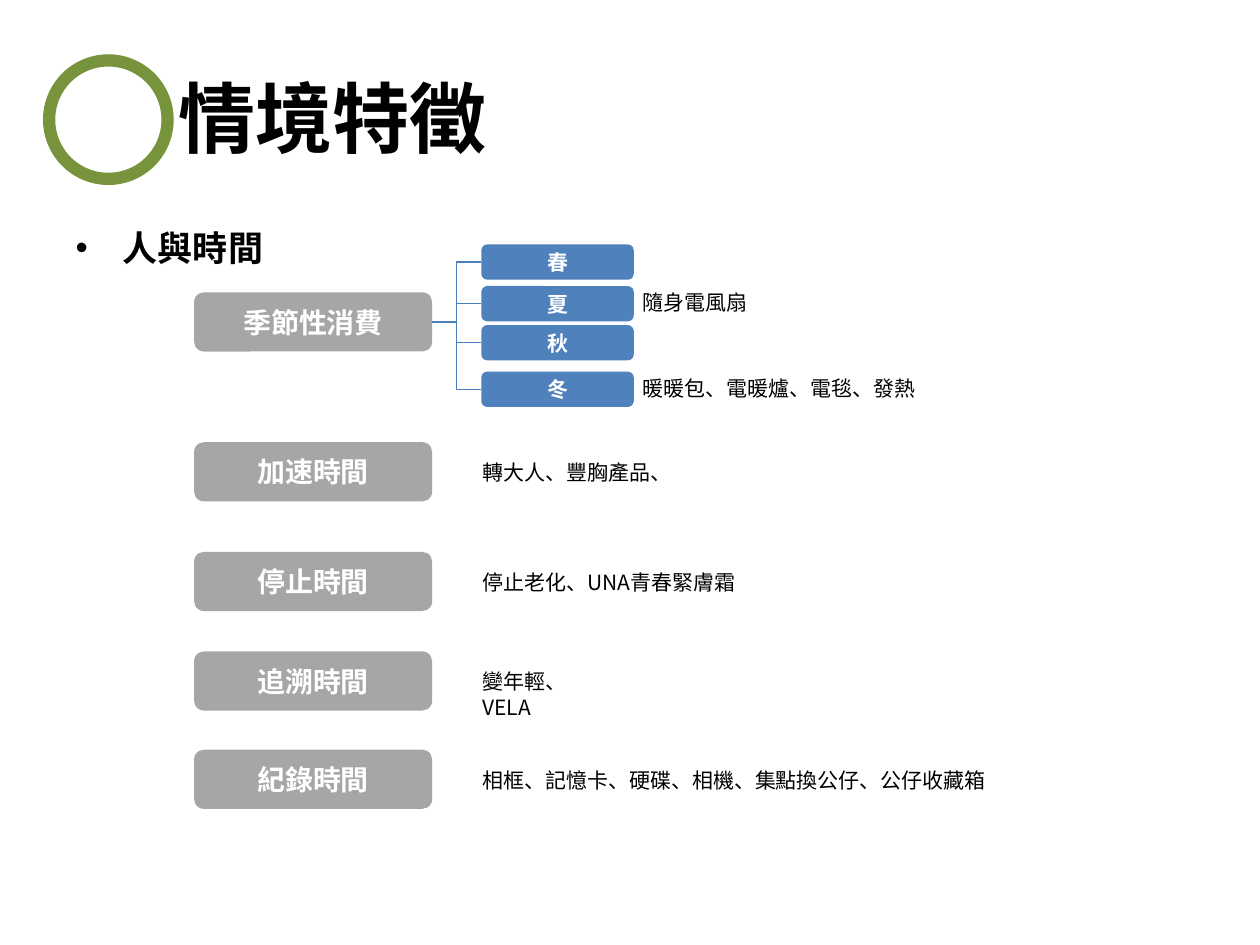
from dataclasses import dataclass

from lxml import etree
from pptx import Presentation
from pptx.dml.color import RGBColor
from pptx.enum.shapes import MSO_CONNECTOR, MSO_SHAPE
from pptx.enum.text import MSO_ANCHOR, PP_ALIGN
from pptx.oxml.ns import qn
from pptx.util import Inches, Pt

ROUND = MSO_SHAPE.ROUNDED_RECTANGLE
OVAL = MSO_SHAPE.OVAL
ELBOW = MSO_CONNECTOR.ELBOW
MIDDLE = MSO_ANCHOR.MIDDLE
TOP = MSO_ANCHOR.TOP
LEFT = PP_ALIGN.LEFT
CENTER = PP_ALIGN.CENTER

FONT = "Noto Sans CJK SC"
BLACK = RGBColor(0x00, 0x00, 0x00)
WHITE = RGBColor(0xFF, 0xFF, 0xFF)
GRAY = RGBColor(0xA6, 0xA6, 0xA6)
BLUE = RGBColor(0x4F, 0x81, 0xBD)
LINK = RGBColor(0x4B, 0x7E, 0xBC)
GREEN = RGBColor(0x77, 0x93, 0x3C)

RIGHT_SITE, LEFT_SITE = 3, 1


@dataclass(frozen=True)
class Style:
    left: float
    width: float
    height: float
    fill: RGBColor
    size: int
    note_x: float
    note_dy: float


@dataclass(frozen=True)
class Item:
    label: str
    top: float
    note: str = ""
    width: float = 0


TOPIC = Style(1.54, 1.89, 0.47, GRAY, 16, 3.73, 0.09)
SEASON = Style(3.82, 1.21, 0.28, BLUE, 12, 5, -0.02)

TOPICS = [
    Item("季節性消費", 2.32),
    Item("加速時間", 3.51, "轉大人、豐胸產品、", 1.72),
    Item("停止時間", 4.38, "停止老化、UNA青春緊膚霜", 2.23),
    Item("追溯時間", 5.17, "變年輕、VELA", 1.17),
    Item("紀錄時間", 5.95, "相框、記憶卡、硬碟、相機、集點換公仔、公仔收藏箱", 5),
]
SEASONS = [
    Item("春", 1.94),
    Item("夏", 2.27, "隨身電風扇", 1.04),
    Item("秋", 2.58),
    Item("冬", 2.95, "暖暖包、電暖爐、電毯、發熱", 2.39),
]


def place(shape, left: float, top: float, width: float, height: float) -> None:
    shape.left, shape.top = Inches(left), Inches(top)
    shape.width, shape.height = Inches(width), Inches(height)


def write(shape, text: str, size: int, color: RGBColor, bold: bool,
          align=LEFT, anchor=TOP) -> None:
    frame = shape.text_frame
    frame.text = text
    frame.word_wrap = True
    frame.vertical_anchor = anchor
    par = frame.paragraphs[0]
    par.alignment = align
    font = par.font
    font.name, font.size, font.bold = FONT, Pt(size), bold
    font.color.rgb = color
    for props in shape.element.iter(qn("a:defRPr")):
        etree.SubElement(props, qn("a:ea"), typeface=FONT)


def draw(shapes, item: Item, style: Style):
    box = shapes.add_shape(ROUND, Inches(style.left), Inches(item.top),
                           Inches(style.width), Inches(style.height))
    box.shadow.inherit = False
    box.fill.solid()
    box.fill.fore_color.rgb = style.fill
    box.line.fill.background()
    write(box, item.label, style.size, WHITE, True, CENTER, MIDDLE)
    if item.note:
        note = shapes.add_textbox(
            Inches(style.note_x), Inches(item.top + style.note_dy),
            Inches(item.width), Inches(0.3))
        write(note, item.note, 12, BLACK, False)
    return box


def link(shapes, start, end) -> None:
    line = shapes.add_connector(ELBOW, 0, 0, 0, 0)
    line.begin_connect(start, RIGHT_SITE)
    line.end_connect(end, LEFT_SITE)
    line.line.color.rgb = LINK
    line.line.width = Pt(0.75)
    etree.SubElement(line.element.spPr, qn("a:effectLst"))


def main() -> None:
    deck = Presentation()
    deck.slide_width, deck.slide_height = Inches(10), Inches(7.5)
    slide = deck.slides.add_slide(deck.slide_layouts[1])
    shapes = slide.shapes

    title = shapes.title
    place(title, 0.5, 0.3, 9, 1.25)
    write(title, "情境特徵", 44, BLACK, True, LEFT, MIDDLE)
    title.text_frame.margin_left = Inches(0.92)

    body = slide.placeholders[1]
    place(body, 0.5, 1.75, 4.42, 4.95)
    write(body, "人與時間", 20, BLACK, True)

    topics = [draw(shapes, item, TOPIC) for item in TOPICS]
    for item in SEASONS:
        link(shapes, topics[0], draw(shapes, item, SEASON))

    ring = shapes.add_shape(OVAL, Inches(0.39), Inches(0.48),
                            Inches(0.94), Inches(0.94))
    ring.shadow.inherit = False
    ring.fill.solid()
    ring.fill.fore_color.rgb = WHITE
    ring.line.color.rgb = GREEN
    ring.line.width = Pt(7)

    deck.save("out.pptx")


main()
